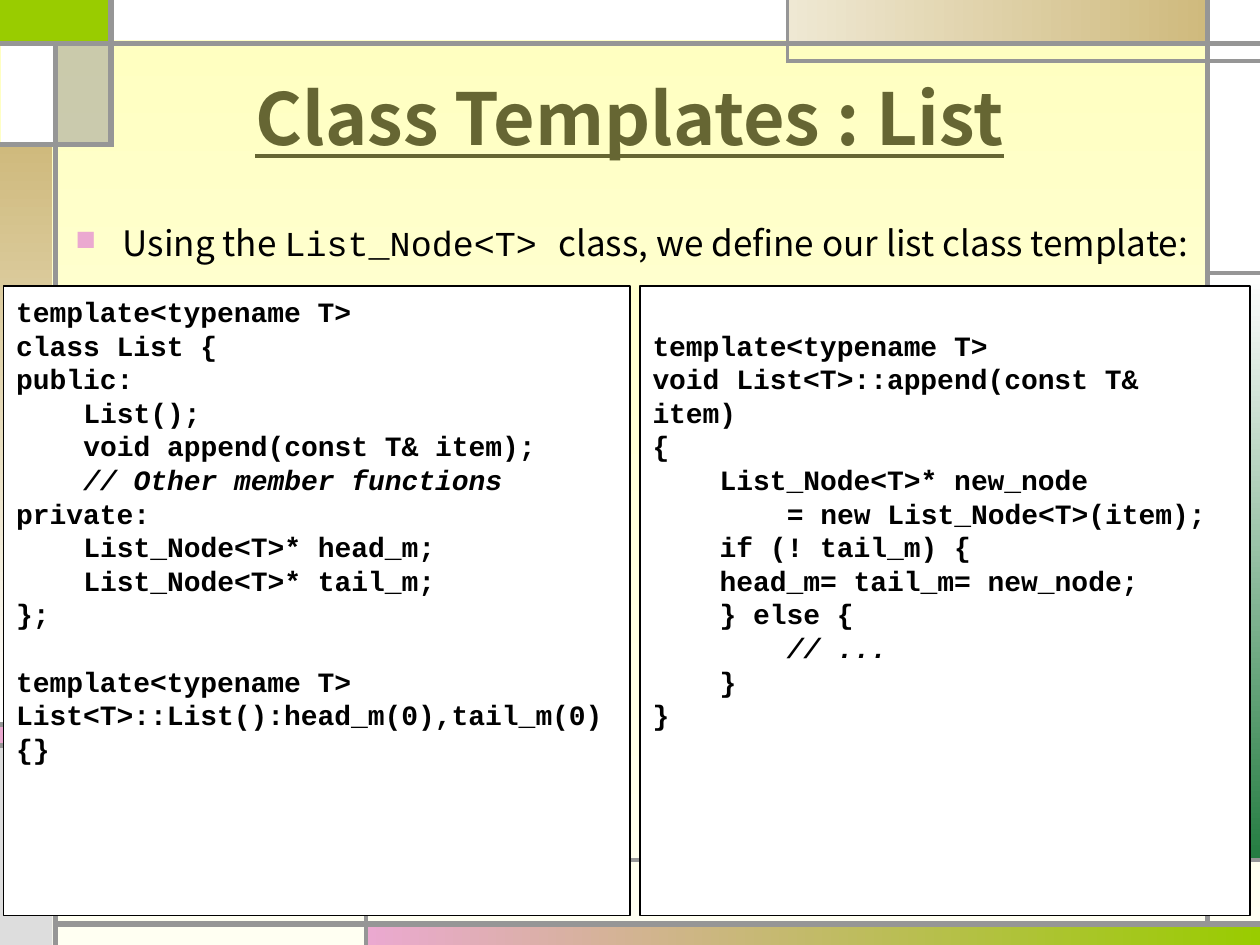
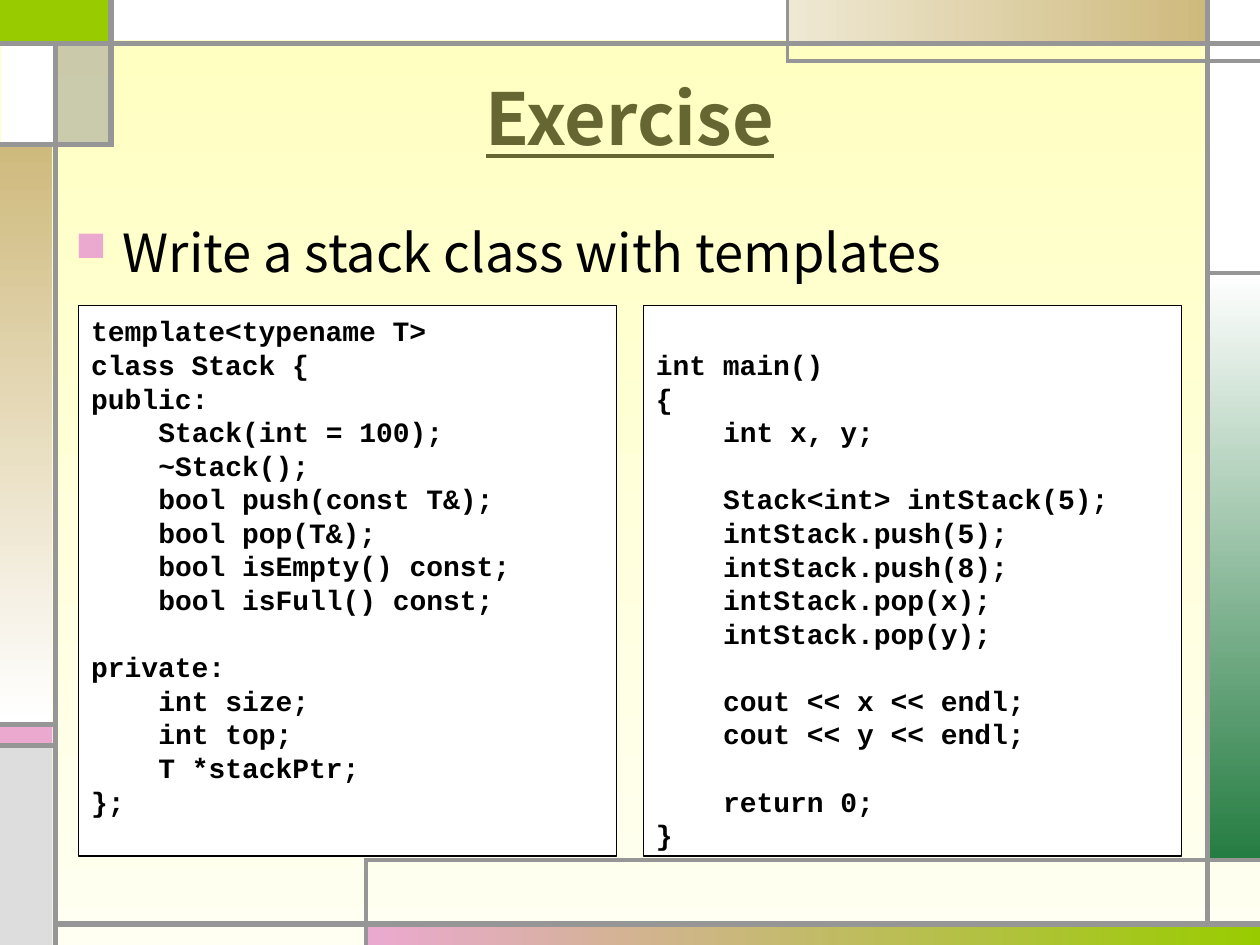
from lxml import etree
from pptx import Presentation
from pptx.dml.color import RGBColor
from pptx.enum.shapes import MSO_CONNECTOR, MSO_SHAPE
from pptx.enum.text import MSO_ANCHOR, PP_ALIGN
from pptx.oxml.ns import qn
from pptx.util import Pt

RECT = MSO_SHAPE.RECTANGLE
STRAIGHT = MSO_CONNECTOR.STRAIGHT
TOP, MIDDLE = MSO_ANCHOR.TOP, MSO_ANCHOR.MIDDLE
CENTER = PP_ALIGN.CENTER

BLACK = RGBColor(0x00, 0x00, 0x00)
WHITE = RGBColor(0xFF, 0xFF, 0xFF)
OLIVE = RGBColor(0x66, 0x66, 0x33)
LIME = RGBColor(0x99, 0xCC, 0x00)
GREEN = RGBColor(0x24, 0x7C, 0x41)
PINK = RGBColor(0xEB, 0xA9, 0xD0)
SAND = RGBColor(0xCF, 0xBA, 0x7D)
PALE_SAND = RGBColor(0xEF, 0xE8, 0xD3)
GRAY = RGBColor(0x96, 0x96, 0x96)
LIGHT_GRAY = RGBColor(0xDD, 0xDD, 0xDD)
YELLOW = RGBColor(0xFF, 0xFF, 0xBF)
PALE_YELLOW = RGBColor(0xFF, 0xFF, 0xF2)

SANS, MONO = "Noto Sans CJK KR", "Courier New"
WIDTH, HEIGHT = 720, 540
TITLE_BOX = (36, 21.6, 648, 90)
CODE_SIZE = 16
CODE_LINE = 19.2
CHAR_WIDTH = 9.6
ACROSS, DOWN = 0, 270  # gradient directions

# Grid lines of the frame
LEFT, RIGHT, HEAD, FOOT = 31.7, 690, 25, 528

# Frame panels: left, top, width, height, colours, gradient direction
PANELS = [
    (0, 0, 62.6, 24.5, [LIME], None),
    (210, FOOT, 510, 12, [PINK, LIME], ACROSS),
    (RIGHT, 156, 30, 336, [WHITE, GREEN], DOWN),
    (0, 414, 30, 12, [PINK], None),
    (0, 427, 30, 113, [LIGHT_GRAY], None),
    (RIGHT, 0, 30, 156, [WHITE], None),
    (450, 0, 240, 24, [PALE_SAND, SAND], ACROSS),
    (33, 24, 30, 59, [GRAY], None),
    (0, 83, 30, 330, [SAND, WHITE], DOWN),
    (0.7, 24, 30, 59, [WHITE], None),
    (62, 0, 388, 23, [WHITE], None),
]
VEILED_PANEL = 7

# Frame rules: start x, start y, end x, end y, width
RULES = [
    (LEFT, HEIGHT, LEFT, 24, 3),
    (LEFT, FOOT, WIDTH, FOOT, 3),
    (RIGHT, FOOT, RIGHT, 0, 3),
    (0, HEAD, WIDTH, HEAD, 3),
    (WIDTH, 34.8, 450, 34.8, 2.25),
    (450, 36, 450, 0, 2.25),
    (RIGHT, 156, WIDTH, 156, 2.25),
    (63.4, 0, 63.4, 84, 3),
    (62, 82.6, 0, 82.6, 3),
    (209, HEIGHT, 209, 491, 2.25),
    (208, 491.5, WIDTH, 491.5, 2.25),
    (33, 414, 0, 414, 3),
    (33, 426, 0, 426, 3),
]

LIST_CLASS = """\
template<typename T>
class List {
public:
    List();
    void append(const T& item);
    // Other member functions
private:
    List_Node<T>* head_m;
    List_Node<T>* tail_m;
};

template<typename T>
List<T>::List():head_m(0),tail_m(0){}"""

LIST_APPEND = """\

template<typename T>
void List<T>::append(const T& item)
{
    List_Node<T>* new_node
        = new List_Node<T>(item);
    if (! tail_m) {
    head_m= tail_m= new_node;
    } else {
        // ...
    }
}"""

STACK_CLASS = """\
template<typename T>
class Stack {
public:
    Stack(int = 100);
    ~Stack();
    bool push(const T&);
    bool pop(T&);
    bool isEmpty() const;
    bool isFull() const;

private:
    int size;
    int top;
    T *stackPtr;
};"""

STACK_MAIN = """\

int main()
{
    int x, y;

    Stack<int> intStack(5);
    intStack.push(5);
    intStack.push(8);
    intStack.pop(x);
    intStack.pop(y);

    cout << x << endl;
    cout << y << endl;

    return 0;
}"""


def points(values):
    return [Pt(value) for value in values]


def write(paragraph, text, size, font=SANS, color=BLACK, bold=False,
          italic=False, underline=False):
    run = paragraph.add_run()
    run.text = text
    run.font.name, run.font.size = font, Pt(size)
    run.font.color.rgb = color
    run.font.bold, run.font.italic = bold, italic
    run.font.underline = underline


def paint(fill, colors, direction=None):
    if len(colors) == 1:
        fill.solid()
        fill.fore_color.rgb = colors[0]
        return
    fill.gradient()
    fill.gradient_angle = direction
    for stop, color in zip(fill.gradient_stops, colors):
        stop.color.rgb = color


def add_panel(slide, box, colors, direction=None):
    panel = slide.shapes.add_shape(RECT, *points(box))
    panel.shadow.inherit = False
    panel.line.fill.background()
    paint(panel.fill, colors, direction)
    return panel


def add_rule(slide, ends, width):
    rule = slide.shapes.add_connector(STRAIGHT, *points(ends))
    rule.line.color.rgb = GRAY
    rule.line.width = Pt(width)
    etree.SubElement(rule.element.spPr, qn("a:effectLst"))
    return rule


def build_frame(slide, layout):
    """Draw the shared frame and move it to the layout."""
    paint(layout.background.fill, [YELLOW, PALE_YELLOW], DOWN)
    panels = [add_panel(slide, box, colors, direction)
              for *box, colors, direction in PANELS]
    veil = panels[VEILED_PANEL].element.spPr.find(".//" + qn("a:srgbClr"))
    etree.SubElement(veil, qn("a:alpha"), val="50000")
    rules = [add_rule(slide, ends, width) for *ends, width in RULES]
    for number, part in enumerate(panels + rules, start=100):
        part.element.xpath(".//p:cNvPr")[0].set("id", str(number))
        layout.shapes.element.append(part.element)


def set_title(slide, text):
    title = slide.shapes.title
    title.left, title.top, title.width, title.height = points(TITLE_BOX)
    title.text_frame.vertical_anchor = MIDDLE
    paragraph = title.text_frame.paragraphs[0]
    paragraph.alignment = CENTER
    write(paragraph, text, 41, color=OLIVE, bold=True, underline=True)


def add_bullet(slide, box, pieces, size):
    """Add one bulleted line made of (text, font) pieces."""
    frame = slide.shapes.add_textbox(*points(box)).text_frame
    frame.word_wrap = True
    paragraph = frame.paragraphs[0]
    paragraph.line_spacing = 0.9
    props = paragraph._p.get_or_add_pPr()
    props.set("marL", str(Pt(27)))
    props.set("indent", str(-Pt(27)))
    color = etree.SubElement(props, qn("a:buClr"))
    etree.SubElement(color, qn("a:srgbClr"), val=str(PINK))
    etree.SubElement(props, qn("a:buSzPct"), val="80000")
    etree.SubElement(props, qn("a:buChar"), char="■")
    for text, font in pieces:
        write(paragraph, text, size, font=font)


def add_code(slide, box, source):
    """Add a code panel; blank lines and leading spaces become spacing."""
    panel = add_panel(slide, box, [WHITE])
    panel.line.color.rgb = BLACK
    panel.line.width = Pt(0.75)
    frame = panel.text_frame
    frame.word_wrap = True
    frame.vertical_anchor = TOP
    body = source.lstrip("\n")
    frame.margin_top = Pt(5 + CODE_LINE * (len(source) - len(body)))
    paragraph, gap = frame.paragraphs[0], 0
    for number, line in enumerate(body.split("\n")):
        if not line:
            gap += CODE_LINE
            continue
        if number:
            paragraph = frame.add_paragraph()
        code = line.lstrip()
        paragraph.alignment = PP_ALIGN.LEFT
        paragraph.line_spacing = Pt(CODE_LINE)
        paragraph.space_before = Pt(gap)
        indent = Pt(CHAR_WIDTH * (len(line) - len(code)))
        paragraph._p.get_or_add_pPr().set("marL", str(indent))
        write(paragraph, code, CODE_SIZE, font=MONO, bold=True,
              italic=code.startswith("//"))
        gap = 0


def build_list_slide(slide):
    set_title(slide, "Class Templates : List")
    add_bullet(slide, (36, 126, 684, 356),
               [("Using the ", SANS), ("List_Node<T> ", MONO),
                ("class, we define our list class template:", SANS)], 20)
    add_code(slide, (2.2, 163.4, 357.8, 360), LIST_CLASS)
    add_code(slide, (365.8, 163.4, 348.5, 360), LIST_APPEND)


def build_exercise_slide(slide):
    set_title(slide, "Exercise")
    add_bullet(slide, (36, 126, 648, 356),
               [("Write a stack class with templates", SANS)], 30)
    for left, source in ((45, STACK_CLASS), (367.8, STACK_MAIN)):
        add_code(slide, (left, 174.4, 307.4, 314.8), source)


def main():
    deck = Presentation()
    deck.slide_width, deck.slide_height = Pt(WIDTH), Pt(HEIGHT)
    title_only = deck.slide_layouts[5]
    list_slide = deck.slides.add_slide(title_only)
    build_frame(list_slide, title_only)
    build_list_slide(list_slide)
    build_exercise_slide(deck.slides.add_slide(title_only))
    deck.save("out.pptx")


if __name__ == "__main__":
    main()
